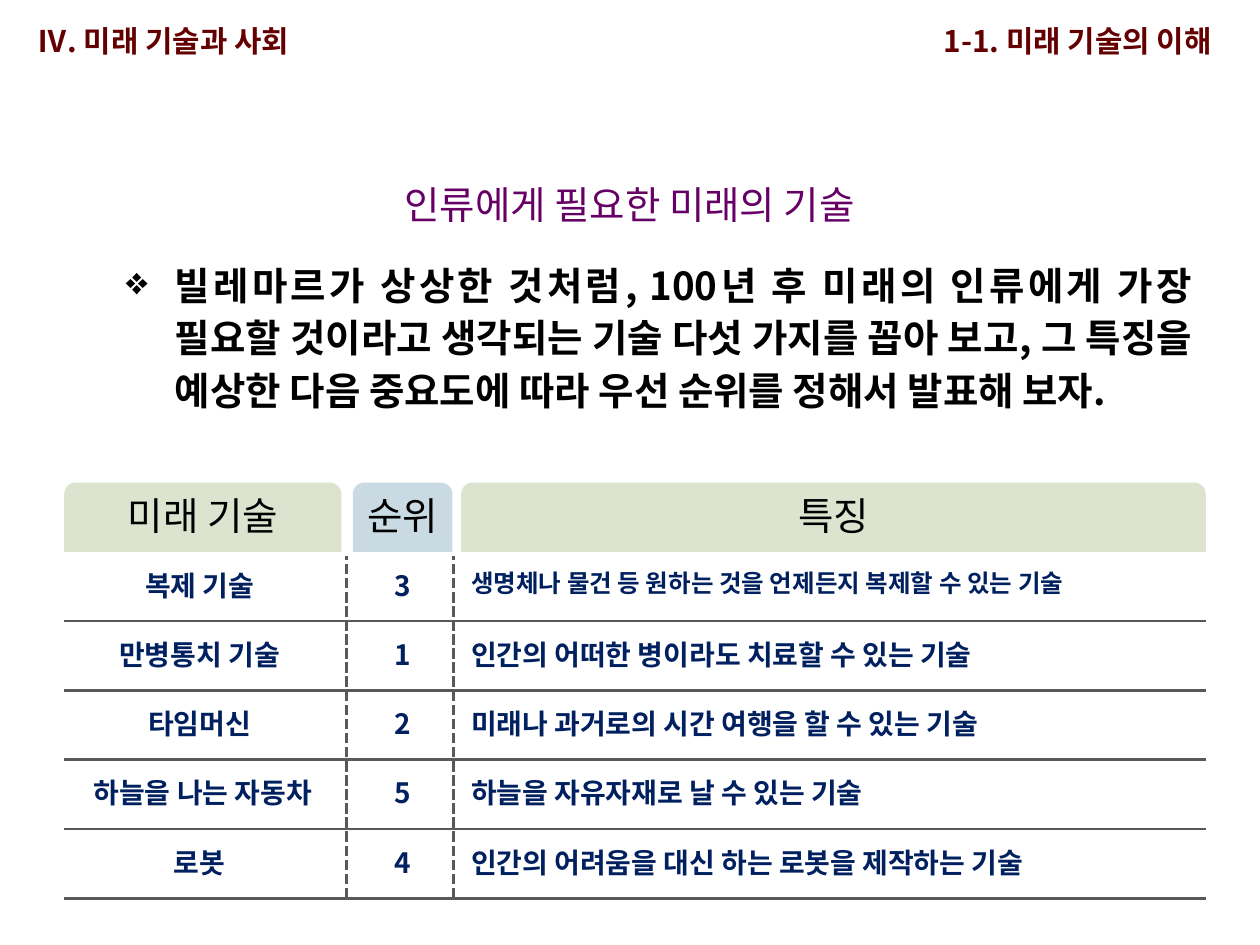
"""Build a slide that ranks the future technologies people need."""
from lxml import etree
from pptx import Presentation
from pptx.dml.color import RGBColor
from pptx.enum.dml import MSO_LINE
from pptx.enum.shapes import MSO_CONNECTOR, MSO_SHAPE
from pptx.enum.text import MSO_ANCHOR, MSO_AUTO_SIZE, PP_ALIGN
from pptx.oxml.ns import qn
from pptx.util import Inches, Pt

LEFT, CENTER, RIGHT, JUSTIFY = PP_ALIGN.LEFT, PP_ALIGN.CENTER, PP_ALIGN.RIGHT, PP_ALIGN.JUSTIFY
TOP = MSO_ANCHOR.TOP
FIT, NO_FIT = MSO_AUTO_SIZE.SHAPE_TO_FIT_TEXT, MSO_AUTO_SIZE.NONE
STRAIGHT, DASH = MSO_CONNECTOR.STRAIGHT, MSO_LINE.SQUARE_DOT
TAB = MSO_SHAPE.ROUND_2_SAME_RECTANGLE
FONT = "Noto Sans CJK KR"
MAROON, PURPLE, BLACK, NAVY, GRAY = "640000", "660066", "000000", "002060", "595959"
GREEN, BLUE = "DCE4D0", "C9DAE2"


def write(shape, text, size, color, bold, align, margins=(0.1, 0.05), spacing=None, fit=FIT, wrap=True):
    """Fill a shape with one formatted paragraph and return the paragraph."""
    frame = shape.text_frame
    frame.text = text
    frame.word_wrap = wrap
    frame.auto_size = fit
    frame.vertical_anchor = TOP
    frame.margin_left = frame.margin_right = Inches(margins[0])
    frame.margin_top = frame.margin_bottom = Inches(margins[1])
    para = frame.paragraphs[0]
    para.alignment = align
    if spacing:
        para.line_spacing = Pt(spacing)
    span = para.runs[0]
    span.font.name = FONT
    span.font.size = Pt(size)
    span.font.bold = bold
    span.font.color.rgb = RGBColor.from_string(color)
    etree.SubElement(span.font._element, qn("a:ea"), typeface=FONT)
    return para


def draw_line(page, x1, y1, x2, y2, width, dash=None):
    """Draw a gray straight line without a shadow."""
    line = page.shapes.add_connector(STRAIGHT, Inches(x1), Inches(y1), Inches(x2), Inches(y2))
    line.line.color.rgb = RGBColor.from_string(GRAY)
    line.line.width = Pt(width)
    if dash:
        line.line.dash_style = dash
    etree.SubElement(line._element.spPr, qn("a:effectLst"))


deck = Presentation()
deck.slide_width, deck.slide_height = Inches(10), Inches(7.5)
page = deck.slides.add_slide(deck.slide_layouts[5])

running_heads = [
    (0.2, 2.34, "Ⅳ. 미래 기술과 사회", LEFT),
    (4.84, 4.93, "1-1. 미래 기술의 이해 ", RIGHT),
]
for left, width, text, align in running_heads:
    box = page.shapes.add_textbox(Inches(left), Inches(0.13), Inches(width), Inches(0.39))
    write(box, text, 17, MAROON, True, align, wrap=False)

title = page.shapes.title
title.left, title.top, title.width, title.height = Inches(3.11), Inches(1.39), Inches(6.46), Inches(0.47)
write(title, "인류에게 필요한 미래의 기술", 22, PURPLE, False, JUSTIFY, spacing=26)

task = page.shapes.add_textbox(Inches(0.9), Inches(1.98), Inches(8.66), Inches(1.36))
para = write(
    task,
    "빌레마르가 상상한 것처럼, 100년 후 미래의 인류에게 가장 필요할 것이라고 생각되는 기술 다섯 가지를 "
    "꼽아 보고, 그 특징을 예상한 다음 중요도에 따라 우선 순위를 정해서 발표해 보자.",
    22, BLACK, True, JUSTIFY, spacing=30,
)
properties = para._p.get_or_add_pPr()
properties.set("marL", str(Inches(0.39)))
properties.set("indent", str(-Inches(0.39)))
etree.SubElement(properties, qn("a:buChar"), char="❖")

columns = [
    (0.51, 2.2, "미래 기술", GREEN, CENTER),
    (2.8, 0.79, "순위", BLUE, CENTER),
    (3.66, 5.91, "특징", GREEN, JUSTIFY),
]
rows = [
    ("복제 기술 ", "3", "생명체나 물건 등 원하는 것을 언제든지 복제할 수 있는 기술 "),
    ("만병통치 기술 ", "1", "인간의 어떠한 병이라도 치료할 수 있는 기술 "),
    ("타임머신 ", "2", "미래나 과거로의 시간 여행을 할 수 있는 기술 "),
    ("하늘을 나는 자동차", "5", "하늘을 자유자재로 날 수 있는 기술 "),
    ("로봇 ", "4", "인간의 어려움을 대신 하는 로봇을 제작하는 기술 "),
]
HEADER_TOP, ROW_HEIGHT = 3.83, 0.55
BODY_TOP = HEADER_TOP + ROW_HEIGHT
BODY_BOTTOM = BODY_TOP + ROW_HEIGHT * len(rows)

for left, width, text, fill, align in columns:
    header = page.shapes.add_shape(TAB, Inches(left), Inches(HEADER_TOP), Inches(width), Inches(ROW_HEIGHT))
    header.shadow.inherit = False
    header.fill.solid()
    header.fill.fore_color.rgb = RGBColor.from_string(fill)
    header.line.fill.background()
    write(header, text, 22, BLACK, False, CENTER, margins=(0, 0.08), spacing=24, fit=NO_FIT)

for x in (2.75, 3.6):
    draw_line(page, x, BODY_BOTTOM, x, BODY_TOP + 0.03, 2, DASH)

for index, row in enumerate(rows):
    top = BODY_TOP + ROW_HEIGHT * index
    draw_line(page, 9.57, top + ROW_HEIGHT, 0.51, top + ROW_HEIGHT, 1.5)
    for (left, width, _, _, align), text in zip(columns, row):
        size = 14 if len(text) > 30 else 16
        cell = page.shapes.add_textbox(Inches(left), Inches(top + 0.08), Inches(width), Inches(0.37))
        write(cell, text, size, NAVY, True, align, margins=(0.08, 0.05))

deck.save("out.pptx")
